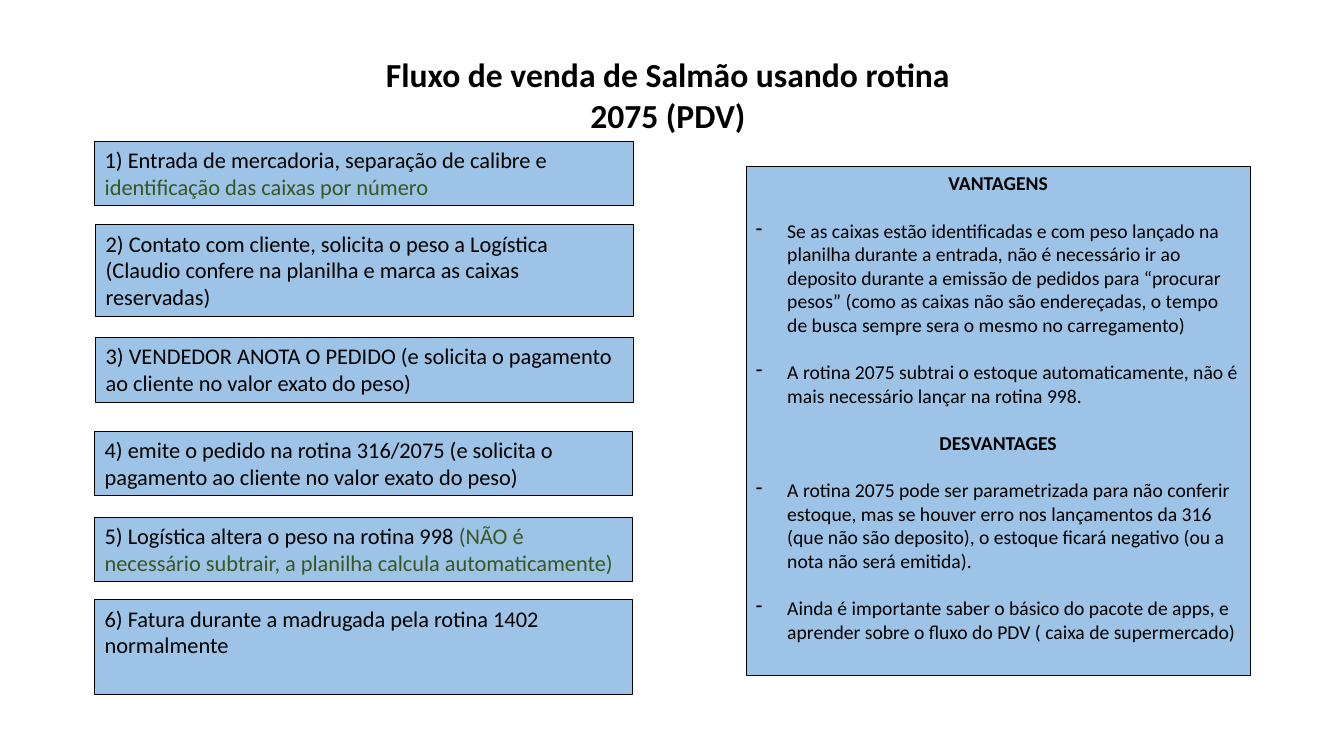
from dataclasses import dataclass

from lxml import etree
from pptx import Presentation
from pptx import util as u
from pptx.dml.color import RGBColor
from pptx.enum import shapes, text
from pptx.oxml.ns import qn

SCALE = 9144


@dataclass(frozen=True)
class Theme:
    font: str = "Calibri"
    ink: str = "000000"
    green: str = "385723"
    fill: str = "9DC3E6"
    head: int = 24
    step: int = 16
    note: int = 14
    gap: int = 17
    edge: float = 0.75


T = Theme()

TITLE = "Fluxo de venda de Salmão usando rotina 2075 (PDV)"

STEPS = [
    (94, 140, 534, 64, [
        ("1) Entrada de mercadoria, separação de calibre e ", T.ink),
        ("identificação das caixas por número", T.green)]),
    (95, 223, 533, 91, [
        ("2) Contato com cliente, solicita o peso a Logística (Claudio confere "
         "na planilha e marca as caixas reservadas)", T.ink)]),
    (95, 335, 533, 64, [
        ("3) VENDEDOR ANOTA O PEDIDO (e solicita o pagamento ao cliente no "
         "valor exato do peso)", T.ink)]),
    (94, 428, 533, 64, [
        ("4) emite o pedido na rotina 316/2075 (e solicita o pagamento ao "
         "cliente no valor exato do peso)", T.ink)]),
    (94, 513, 533, 64, [
        ("5) Logística altera o peso na rotina 998 ", T.ink),
        ("(NÃO é necessário subtrair, a planilha calcula automaticamente)",
         T.green)]),
    (94, 595, 533, 94, [
        ("6) Fatura durante a madrugada pela rotina 1402 normalmente", T.ink)]),
]

NOTES = [
    ("VANTAGENS", [
        "Se as caixas estão identificadas e com peso lançado na planilha "
        "durante a entrada, não é necessário ir ao deposito durante a emissão "
        "de pedidos para “procurar pesos” (como as caixas não são endereçadas, "
        "o tempo de busca sempre sera o mesmo no carregamento)",
        "A rotina 2075 subtrai o estoque automaticamente, não é mais "
        "necessário lançar na rotina 998."]),
    ("DESVANTAGES", [
        "A rotina 2075 pode ser parametrizada para não conferir estoque, mas "
        "se houver erro nos lançamentos da 316 (que não são deposito), o "
        "estoque ficará negativo (ou a nota não será emitida).",
        "Ainda é importante saber o básico do pacote de apps, e aprender sobre "
        "o fluxo do PDV ( caixa de supermercado)"]),
]


def px(n):
    return u.Emu(n * SCALE)


def add_run(para, words, size, color=T.ink, bold=False):
    run = para.add_run()
    run.text = words
    font = run.font
    font.name, font.size, font.bold = T.font, u.Pt(size), bold
    font.color.rgb = RGBColor.from_string(color)


def add_dash(para):
    props = para._p.get_or_add_pPr()
    props.set("marL", str(px(31)))
    props.set("indent", str(-px(31)))
    etree.SubElement(props, qn("a:buChar")).set("char", "-")


def add_box(slide, left, top, width, height):
    box = slide.shapes.add_shape(shapes.MSO_SHAPE.RECTANGLE,
                                 px(left), px(top), px(width), px(height))
    box.shadow.inherit = False
    box.fill.solid()
    box.fill.fore_color.rgb = RGBColor.from_string(T.fill)
    box.line.color.rgb = RGBColor.from_string(T.ink)
    box.line.width = u.Pt(T.edge)
    frame = box.text_frame
    frame.word_wrap = True
    frame.vertical_anchor = text.MSO_ANCHOR.TOP
    return frame


def add_title(slide):
    frame = slide.shapes.add_textbox(px(361), px(49), px(603), px(91)).text_frame
    frame.word_wrap = True
    para = frame.paragraphs[0]
    para.alignment = text.PP_ALIGN.CENTER
    add_run(para, TITLE, T.head, bold=True)


def add_step(slide, left, top, width, height, runs):
    para = add_box(slide, left, top, width, height).paragraphs[0]
    para.alignment = text.PP_ALIGN.LEFT
    for words, color in runs:
        add_run(para, words, T.step, color)


def add_notes(slide):
    frame = add_box(slide, 740, 165, 500, 505)
    lines = [(words, head) for title, items in NOTES
             for words, head in [(title, True)] + [(i, False) for i in items]]
    for n, (words, head) in enumerate(lines):
        para = frame.add_paragraph() if n else frame.paragraphs[0]
        para.alignment = text.PP_ALIGN.CENTER if head else text.PP_ALIGN.LEFT
        if n:
            para.space_before = u.Pt(T.gap)
        if not head:
            add_dash(para)
        add_run(para, words, T.note, bold=head)


def main():
    deck = Presentation()
    deck.slide_width, deck.slide_height = px(1333), px(750)
    slide = deck.slides.add_slide(deck.slide_layouts[6])
    add_title(slide)
    for step in STEPS:
        add_step(slide, *step)
    add_notes(slide)
    deck.save("out.pptx")


if __name__ == "__main__":
    main()
